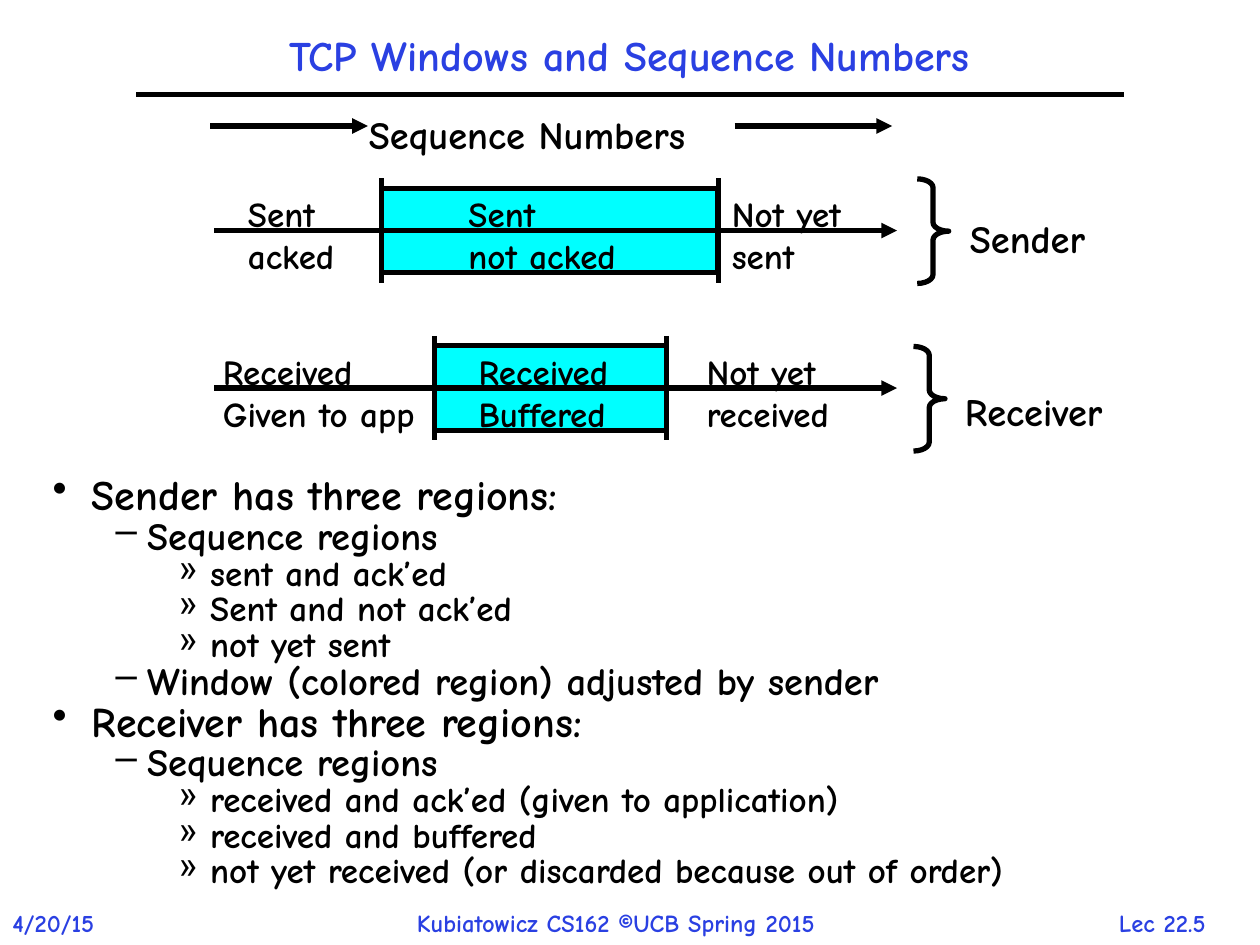
from lxml import etree
from pptx import Presentation
from pptx.dml.color import RGBColor
from pptx.enum.shapes import MSO_CONNECTOR, MSO_SHAPE
from pptx.enum.text import MSO_ANCHOR, PP_ALIGN
from pptx.oxml.ns import qn
from pptx.util import Inches, Pt

FONT = "Comic Neue"
BLACK = RGBColor(0x00, 0x00, 0x00)
BLUE = RGBColor(0x2A, 0x40, 0xE2)
CYAN = RGBColor(0x00, 0xFF, 0xFF)
LEFT, CENTER = PP_ALIGN.LEFT, PP_ALIGN.CENTER
TOP, MIDDLE = MSO_ANCHOR.TOP, MSO_ANCHOR.MIDDLE
STRAIGHT = MSO_CONNECTOR.STRAIGHT
RECTANGLE, RIGHT_BRACE = MSO_SHAPE.RECTANGLE, MSO_SHAPE.RIGHT_BRACE

TITLE = "TCP Windows and Sequence Numbers"
FOOTERS = [  # text, left, width, alignment
    ("4/20/15", 0, 1, LEFT),
    ("Kubiatowicz CS162 ©UCB Spring 2015", 3.21, 3.87, LEFT),
    ("Lec 22.5", 8.56, 1.33, CENTER),
]
BODY = [  # level, text
    (0, "Sender has three regions:"),
    (1, "Sequence regions"),
    (2, "sent and ack’ed"),
    (2, "Sent and not ack’ed"),
    (2, "not yet sent"),
    (1, "Window (colored region) adjusted by sender"),
    (0, "Receiver has three regions:"),
    (1, "Sequence regions"),
    (2, "received and ack’ed (given to application)"),
    (2, "received and buffered"),
    (2, "not yet received (or discarded because out of order)"),
]
LEVELS = [  # bullet, size, left margin, hanging indent
    ("•", 24, 0.31, 0.31),
    ("–", 22, 0.75, 0.25),
    ("»", 20, 1.25, 0.25),
]
DIAGRAMS = [
    {"axis": 1.83, "window": (3.03, 5.7),
     "regions": [(["Sent", "acked"], 1.87, 0.96),
                 (["Sent", "not acked"], 3.62, 1.5),
                 (["Not yet", "sent"], 5.71, 1.26)],
     "brace": (7.28, 1.42), "name": ("Sender", 7.6, 1.66, 1.24)},
    {"axis": 3.08, "window": (3.45, 5.29),
     "regions": [(["Received", "Given to app"], 1.67, 1.87),
                 (["Received", "Buffered"], 3.7, 1.4),
                 (["Not yet", "received"], 5.51, 1.31)],
     "brace": (7.25, 2.75), "name": ("Receiver", 7.56, 3.03, 1.44)},
]
AXIS_ENDS = (1.7, 7.12)
WINDOW_HEIGHT = 0.67
TICK_HEIGHT = 0.83
LABEL_HEIGHT = 0.7


def format_paragraph(paragraph, text, size, color=BLACK, align=LEFT, spacing=None):
    paragraph.alignment = align
    if spacing:
        paragraph.line_spacing = spacing
    run = paragraph.add_run()
    run.text = text
    run.font.name = FONT
    run.font.size = Pt(size)
    run.font.bold = True
    run.font.color.rgb = color


def add_text(slide, lines, left, top, width, height, size=20, wrap=False,
             anchor=TOP, **paragraph_format):
    box = slide.shapes.add_textbox(Inches(left), Inches(top), Inches(width), Inches(height))
    frame = box.text_frame
    frame.word_wrap = wrap
    frame.vertical_anchor = anchor
    for index, line in enumerate(lines):
        paragraph = frame.add_paragraph() if index else frame.paragraphs[0]
        format_paragraph(paragraph, line, size, **paragraph_format)


def add_line(slide, x1, y1, x2, y2, arrow=False):
    line = slide.shapes.add_connector(STRAIGHT, Inches(x1), Inches(y1), Inches(x2), Inches(y2))
    line.line.color.rgb = BLACK
    line.line.width = Pt(3)
    if arrow:
        etree.SubElement(line.line._get_or_add_ln(), qn("a:tailEnd"), type="triangle")
    properties = line._element.spPr
    etree.SubElement(properties, qn("a:effectLst"))


def add_outlined_shape(slide, kind, left, top, width, height, fill=None):
    shape = slide.shapes.add_shape(kind, Inches(left), Inches(top), Inches(width), Inches(height))
    shape.shadow.inherit = False
    if fill is None:
        shape.fill.background()
    else:
        shape.fill.solid()
        shape.fill.fore_color.rgb = fill
    shape.line.color.rgb = BLACK
    shape.line.width = Pt(3)
    return shape


def add_diagram(slide, diagram):
    axis = diagram["axis"]
    start, end = diagram["window"]
    add_outlined_shape(slide, RECTANGLE, start, axis - WINDOW_HEIGHT / 2,
                       end - start, WINDOW_HEIGHT, fill=CYAN)
    add_line(slide, AXIS_ENDS[0], axis, AXIS_ENDS[1], axis, arrow=True)
    for x in (start, end):
        add_line(slide, x, axis - TICK_HEIGHT / 2, x, axis + TICK_HEIGHT / 2)
    for lines, left, width in diagram["regions"]:
        add_text(slide, lines, left, axis - LABEL_HEIGHT / 2, width, LABEL_HEIGHT)
    brace = add_outlined_shape(slide, RIGHT_BRACE, *diagram["brace"], 0.25, TICK_HEIGHT)
    brace.adjustments[0] = 0.28
    brace.adjustments[1] = 0.5
    name, left, top, width = diagram["name"]
    add_text(slide, [name], left, top, width, 0.39, size=22)


def add_body(slide):
    box = slide.shapes.add_textbox(Inches(0.32), Inches(3.75), Inches(9.68), Inches(3.5))
    frame = box.text_frame
    frame.word_wrap = True
    for index, (level, text) in enumerate(BODY):
        bullet, size, margin, hanging = LEVELS[level]
        paragraph = frame.add_paragraph() if index else frame.paragraphs[0]
        paragraph.level = level
        paragraph.space_before = Pt(size * 0.05)
        format_paragraph(paragraph, text, size, spacing=0.8)
        properties = paragraph._p.get_or_add_pPr()
        properties.set("marL", str(Inches(margin)))
        properties.set("indent", str(-Inches(hanging)))
        etree.SubElement(properties, qn("a:buChar"), char=bullet)


def main():
    presentation = Presentation()
    presentation.slide_width = Inches(10)
    presentation.slide_height = Inches(7.5)
    slide = presentation.slides.add_slide(presentation.slide_layouts[6])

    for text, left, width, align in FOOTERS:
        add_text(slide, [text], left, 7.16, width, 0.34, size=14, color=BLUE, align=align)
    add_line(slide, 1.08, 0.75, 8.92, 0.75)
    add_text(slide, [TITLE], 1.08, 0.17, 7.83, 0.58, size=24, wrap=True,
             anchor=MIDDLE, color=BLUE, align=CENTER, spacing=0.9)
    add_body(slide)

    add_text(slide, ["Sequence Numbers"], 2.83, 0.83, 2.98, 0.39, size=22)
    for x in (1.67, 5.83):
        add_line(slide, x, 1, x + 1.25, 1, arrow=True)
    for diagram in DIAGRAMS:
        add_diagram(slide, diagram)

    presentation.save("out.pptx")


if __name__ == "__main__":
    main()
